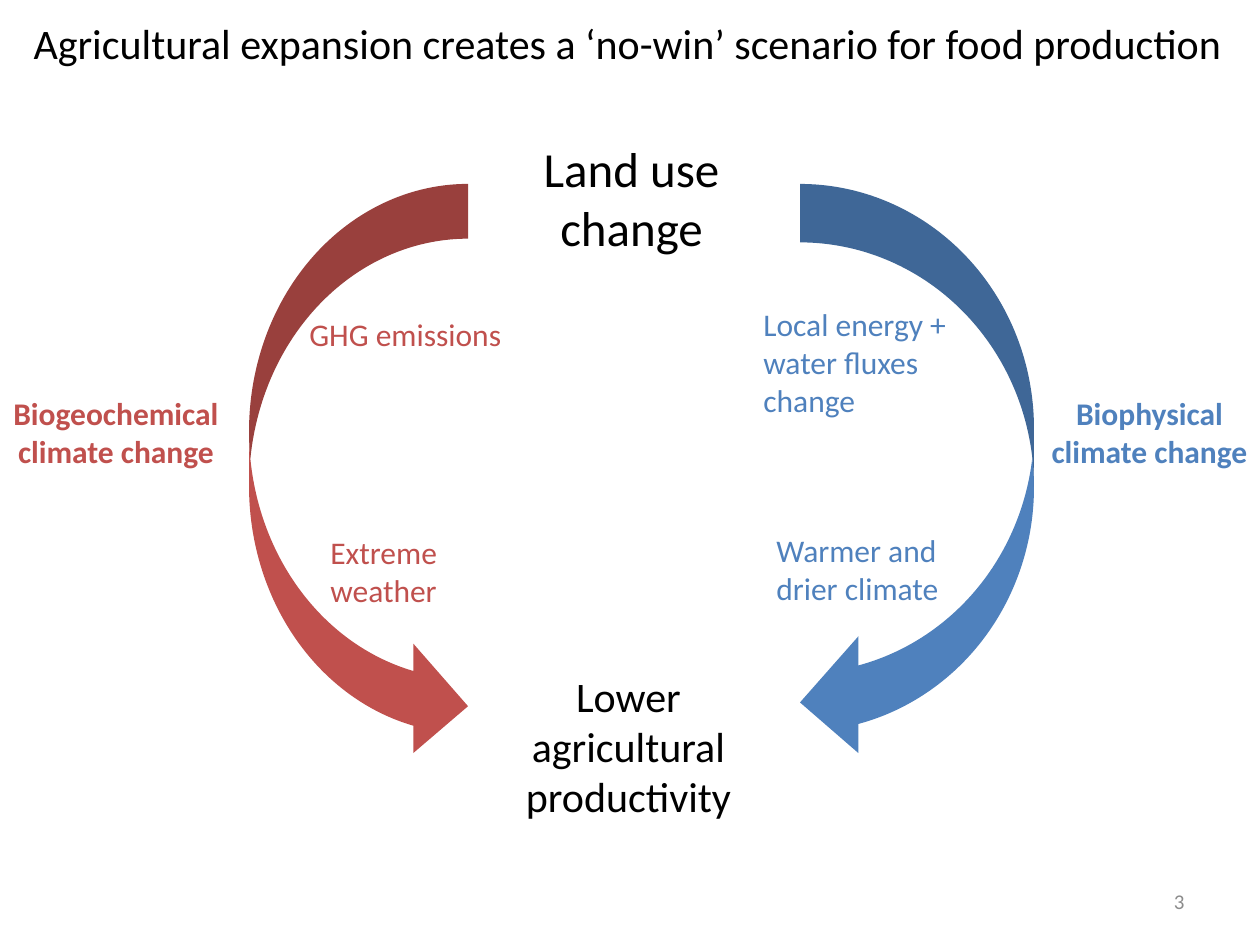
import pptx
import pptx.dml.color
import pptx.enum.shapes
import pptx.enum.text
import pptx.util

PX = 914400 / 126
ALIGN = pptx.enum.text.PP_ALIGN
ANCHOR = pptx.enum.text.MSO_ANCHOR
SHAPES = pptx.enum.shapes.MSO_SHAPE
FONT = "Calibri"
BLACK, GREY = "000000", "8C8C8C"
RED, BLUE = "C0504D", "4F81BD"


def px(value):
    return pptx.util.Emu(round(value * PX))


def color(hex_code):
    return pptx.dml.color.RGBColor.from_string(hex_code)


def write(shape, lines, size, hex_code, align=ALIGN.LEFT, bold=False,
          wrap=True, anchor=ANCHOR.TOP):
    frame = shape.text_frame
    frame.auto_size = pptx.enum.text.MSO_AUTO_SIZE.NONE
    frame.word_wrap = wrap
    frame.vertical_anchor = anchor
    for index, line in enumerate(lines):
        paragraph = frame.add_paragraph() if index else frame.paragraphs[0]
        paragraph.alignment = align
        run = paragraph.add_run()
        run.text = line
        run.font.name = FONT
        run.font.size = pptx.util.Pt(size)
        run.font.bold = bold
        run.font.color.rgb = color(hex_code)


def add_title(slide, box, text):
    title = slide.shapes.title
    title.left, title.top, title.width, title.height = map(px, box)
    write(title, [text], 24, BLACK, wrap=False)


def add_label(slide, box, lines, size, hex_code, **style):
    write(slide.shapes.add_textbox(*map(px, box)), lines, size, hex_code, **style)


def add_curved_arrow(slide, kind, box, hex_code):
    arrow = slide.shapes.add_shape(kind, *map(px, box))
    arrow.shadow.inherit = False
    arrow.fill.solid()
    arrow.fill.fore_color.rgb = color(hex_code)
    arrow.line.fill.background()


def main():
    presentation = pptx.Presentation()
    presentation.slide_width = px(1260)
    presentation.slide_height = px(945)
    slide = presentation.slides.add_slide(presentation.slide_layouts[5])

    add_title(slide, (21, 11, 1231, 63),
              "Agricultural expansion creates a ‘no-win’ scenario for food production")

    # Start and end of the cycle
    add_label(slide, (476, 132, 311, 131), ["Land use change"], 28, BLACK,
              align=ALIGN.CENTER)
    add_label(slide, (469, 664, 319, 165), ["Lower agricultural productivity"],
              24, BLACK, align=ALIGN.CENTER)

    # Steps along each pathway
    steps = [
        ((297, 309, 219, 50), "GHG emissions", RED, False),
        ((318, 527, 159, 89), "Extreme weather", RED, True),
        ((751, 299, 229, 127), "Local energy + water fluxes change", BLUE, True),
        ((764, 525, 205, 89), "Warmer and drier climate", BLUE, True),
    ]
    for box, text, hex_code, wrap in steps:
        add_label(slide, box, [text], 18, hex_code, wrap=wrap)

    # Pathway names
    pathways = [
        ((-13, 388, 258, 89), ["Biogeochemical", "climate change"], RED),
        ((1038, 388, 223, 89), ["Biophysical climate change"], BLUE),
    ]
    for box, lines, hex_code in pathways:
        add_label(slide, box, lines, 18, hex_code, align=ALIGN.CENTER, bold=True)

    # Pathway arrows
    add_curved_arrow(slide, SHAPES.CURVED_RIGHT_ARROW, (249, 184, 219, 577), RED)
    add_curved_arrow(slide, SHAPES.CURVED_LEFT_ARROW, (800, 184, 234, 577), BLUE)

    # Slide number
    add_label(slide, (903, 876, 294, 50), ["3"], 12, GREY,
              align=ALIGN.RIGHT, anchor=ANCHOR.MIDDLE)

    presentation.save("out.pptx")


if __name__ == "__main__":
    main()
